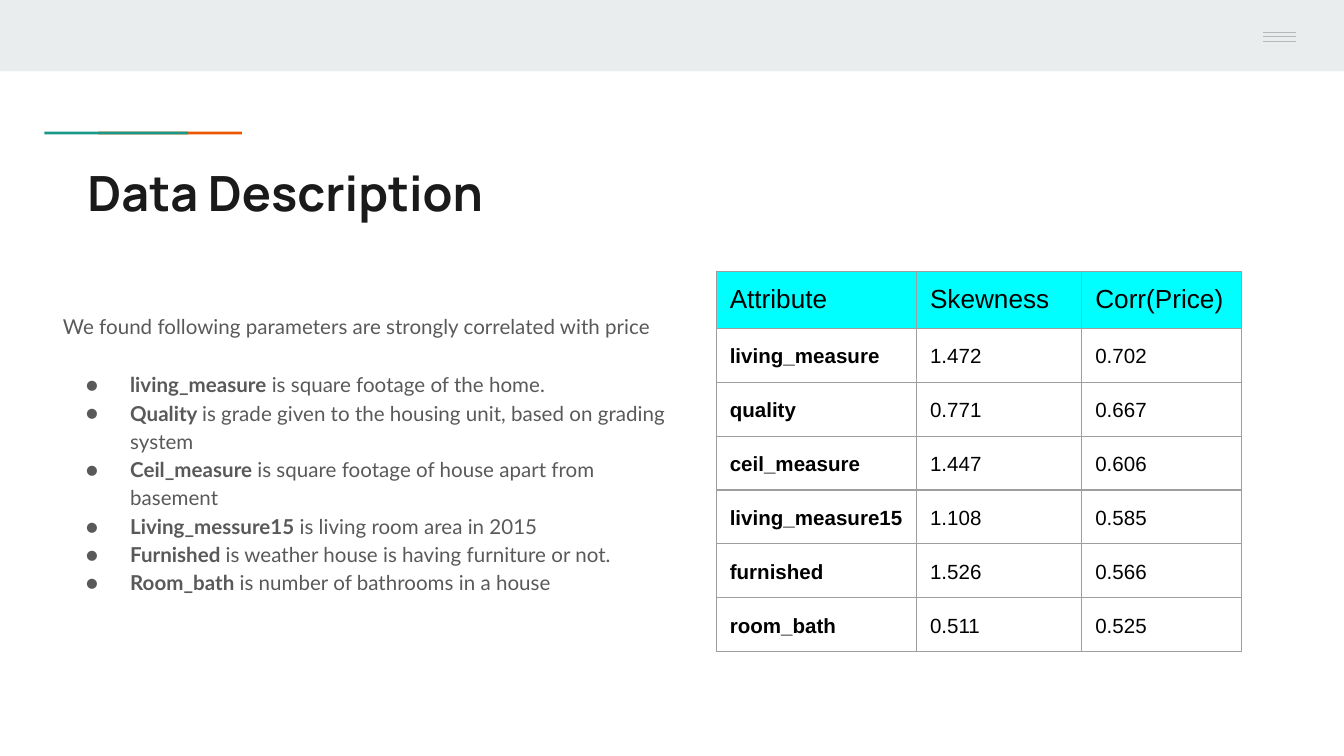
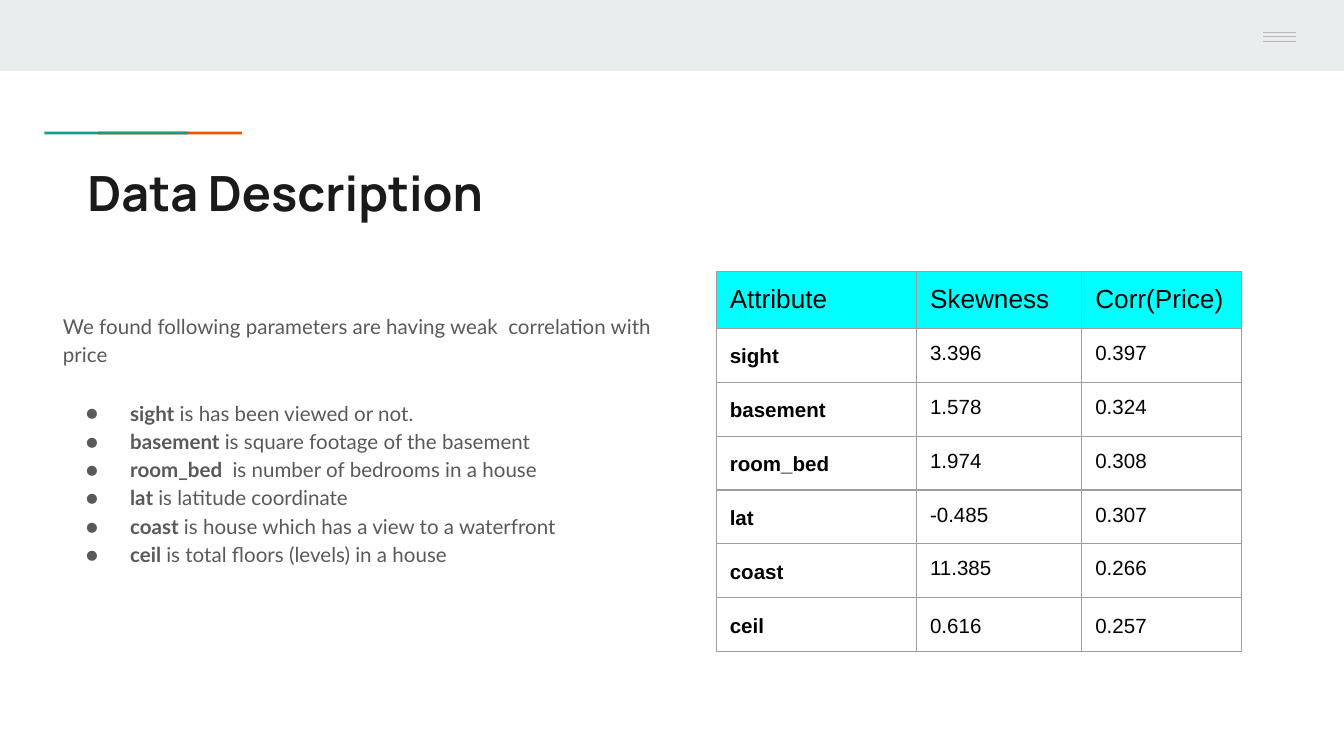
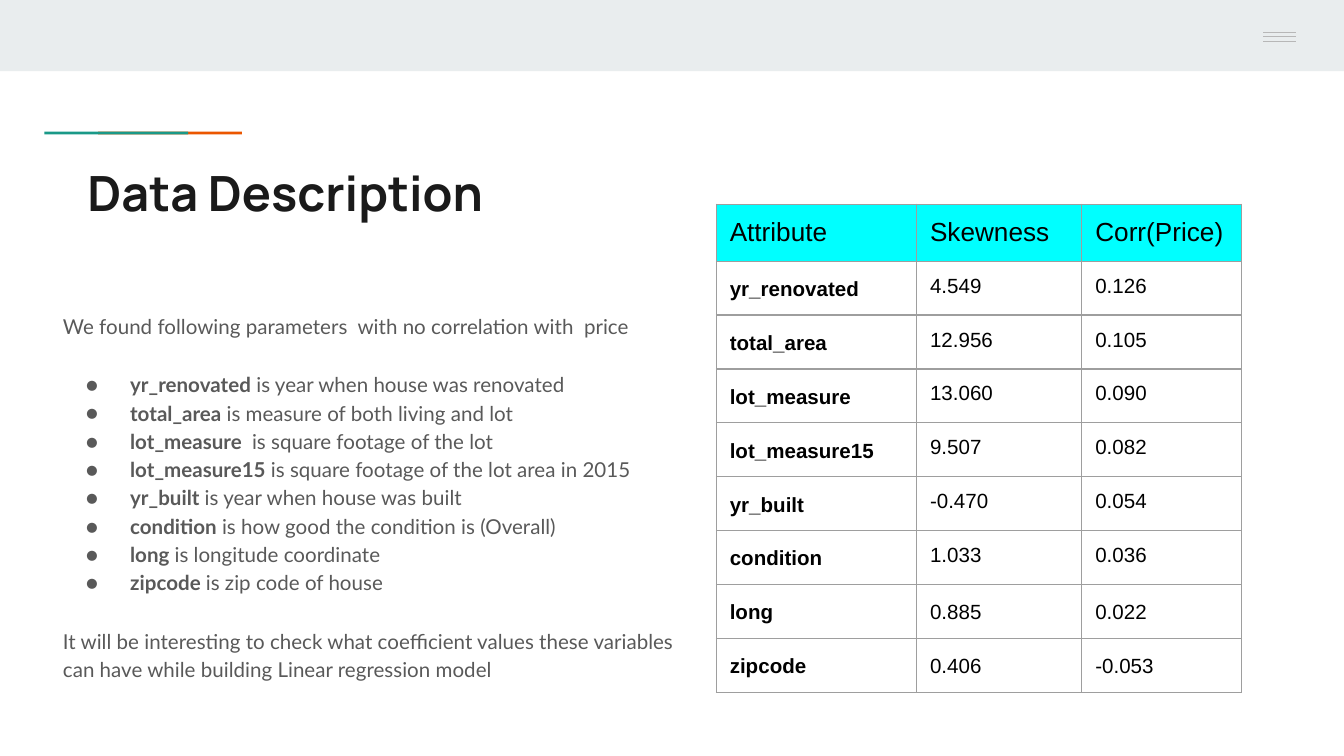
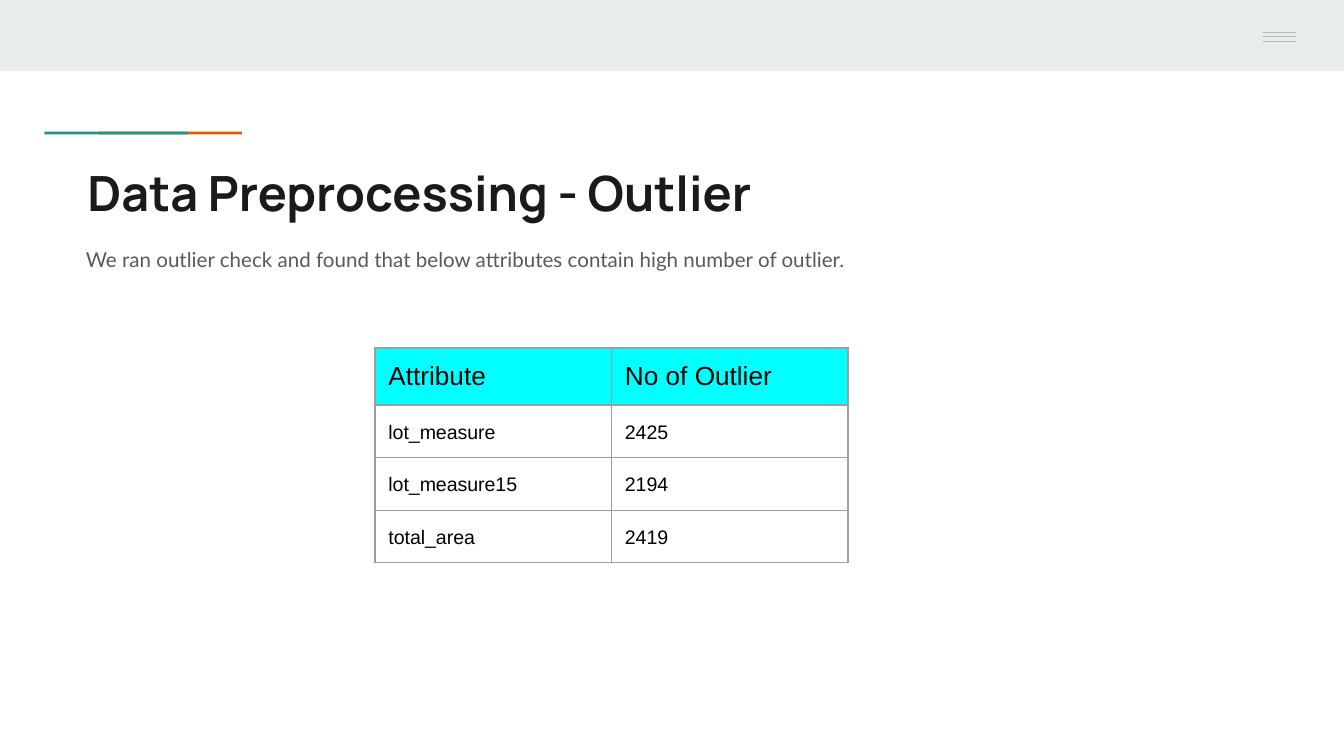
from dataclasses import dataclass
from typing import Optional

from lxml.etree import SubElement
from pptx import Presentation
from pptx.dml.color import RGBColor
from pptx.enum.shapes import MSO_CONNECTOR as Connector, MSO_SHAPE as Shape
from pptx.enum.text import MSO_ANCHOR as Anchor, PP_ALIGN as Align
from pptx.oxml.ns import qn
from pptx.util import Inches, Pt


# Colours, fonts and type sizes
@dataclass(frozen=True)
class Theme:
    band: str = "E9EDEE"
    teal: str = "1A9988"
    orange: str = "EB5600"
    menu: str = "B7B7B7"
    title: str = "1A1A1A"
    body: str = "595959"
    cell: str = "000000"
    header: str = "00FFFF"
    border: str = "9E9E9E"
    title_font: str = "Manrope"
    body_font: str = "Lato"
    table_font: str = "Arial"
    title_size: float = 26
    body_size: float = 11
    header_size: float = 14
    rule: float = 0.75
    spacing: float = 1.15
    gap: float = 16


THEME = Theme()
MARGIN, CELL_BOTTOM = Inches(0.1), Inches(0.09)
HEADER_HEIGHT, ROW_HEIGHT = Inches(0.38), Inches(0.36)


@dataclass(frozen=True)
class Bar:
    left: float
    top: float
    width: float
    height: float
    color: str


@dataclass(frozen=True)
class Term:
    name: str
    meaning: str


@dataclass(frozen=True)
class Grid:
    left: float
    top: float
    widths: tuple[float, ...]
    header: tuple[str, ...]
    rows: list[tuple[str, ...]]
    size: float = 11
    bold_names: bool = True
    first_spaced_row: int = 0  # values from this row on have wider line spacing


@dataclass(frozen=True)
class Prose:
    left: float
    top: float
    width: float
    height: float
    intro: str
    terms: tuple[Term, ...] = ()
    closing: Optional[str] = None


@dataclass(frozen=True)
class Content:
    title: str
    prose: Prose
    grid: Grid


BARS = [
    Bar(0, 0, 10, 0.53, THEME.band),
    Bar(0.73, 0.98, 1.07, 0.02, THEME.orange),
    Bar(0.33, 0.98, 1.07, 0.02, THEME.teal),
    Bar(9.06, 0, 0.94, 0.5, THEME.band),
]
MENU_LINES = (0.24, 0.27, 0.31)


def description(top: float, height: float, intro: str, terms: tuple[Term, ...],
                values: list[tuple[str, ...]], first_spaced_row: int = 0,
                closing: Optional[str] = None) -> Content:
    """One page that explains attributes beside their statistics."""
    return Content(
        "Data Description",
        Prose(0.37, 2.21, 4.79, height, intro, terms, closing),
        Grid(5.33, top, (1.49, 1.23, 1.19), ("Attribute", "Skewness", "Corr(Price)"),
             values, first_spaced_row=first_spaced_row))


PAGES = [
    description(
        2.02, 2.6, "We found following parameters are strongly correlated with price",
        (Term("living_measure", " is square footage of the home."),
         Term("Quality ", "is grade given to the housing unit, based on grading system"),
         Term("Ceil_measure ", "is square footage of house apart from basement"),
         Term("Living_messure15 ", "is living room area in 2015"),
         Term("Furnished ", "is weather house is having furniture or not."),
         Term("Room_bath ", "is number of bathrooms in a house")),
        [("living_measure", "1.472", "0.702"),
         ("quality", "0.771", "0.667"),
         ("ceil_measure", "1.447", "0.606"),
         ("living_measure15", "1.108", "0.585"),
         ("furnished", "1.526", "0.566"),
         ("room_bath", "0.511", "0.525")]),
    description(
        2.02, 2.6, "We found following parameters are having weak  correlation with price",
        (Term("sight", " is has been viewed or not."),
         Term("basement ", "is square footage of the basement"),
         Term("room_bed  ", "is number of bedrooms in a house"),
         Term("lat ", "is latitude coordinate"),
         Term("coast ", "is house which has a view to a waterfront"),
         Term("ceil ", "is total floors (levels) in a house")),
        [("sight", "3.396", "0.397"),
         ("basement", "1.578", "0.324"),
         ("room_bed", "1.974", "0.308"),
         ("lat", "-0.485", "0.307"),
         ("coast", "11.385", "0.266"),
         ("ceil", "0.616", "0.257")],
        first_spaced_row=5),
    description(
        1.52, 3.17, "We found following parameters  with no correlation with  price",
        (Term("yr_renovated", " is year when house was renovated"),
         Term("total_area ", "is measure of both living and lot"),
         Term("lot_measure  ", "is square footage of the lot"),
         Term("lot_measure15 ", "is square footage of the lot area in 2015"),
         Term("yr_built ", "is year when house was built"),
         Term("condition ", "is how good the condition is (Overall)"),
         Term("long ", "is longitude coordinate"),
         Term("zipcode ", "is zip code of house")),
        [("yr_renovated", "4.549", "0.126"),
         ("total_area", "12.956", "0.105"),
         ("lot_measure", "13.060", "0.090"),
         ("lot_measure15", "9.507", "0.082"),
         ("yr_built", "-0.470", "0.054"),
         ("condition", "1.033", "0.036"),
         ("long", "0.885", "0.022"),
         ("zipcode", "0.406", "-0.053")],
        first_spaced_row=6,
        closing="It will be interesting to check what coefficient values these "
                "variables can have while building Linear regression model"),
    Content(
        "Data Preprocessing - Outlier",
        Prose(0.54, 1.71, 9.07, 0.49, "We ran outlier check and found that below "
              "attributes contain high number of outlier."),
        Grid(2.79, 2.59, (1.76, 1.76), ("Attribute", "No of Outlier"),
             [("lot_measure", "2425"), ("lot_measure15", "2194"), ("total_area", "2419")],
             size=10.5, bold_names=False)),
]


# Text helpers
def set_font(font, name: str, size: float, color: str, bold: bool = False) -> None:
    font.name, font.size, font.bold = name, Pt(size), bold
    font.color.rgb = RGBColor.from_string(color)


def set_body_font(font, bold: bool = False) -> None:
    set_font(font, THEME.body_font, THEME.body_size, THEME.body, bold)


def set_margins(target, bottom: int = MARGIN) -> None:
    target.margin_left = target.margin_right = target.margin_top = MARGIN
    target.margin_bottom = bottom


def add_bullet(para) -> None:
    props = para._p.get_or_add_pPr()
    props.set("marL", str(Inches(0.5)))
    props.set("indent", str(Inches(-0.33)))
    color = SubElement(props, qn("a:buClr"))
    SubElement(color, qn("a:srgbClr"), val=THEME.body)
    SubElement(props, qn("a:buSzPts"), val=str(int(THEME.body_size * 100)))
    SubElement(props, qn("a:buFont"), typeface=THEME.body_font)
    SubElement(props, qn("a:buChar"), char="●")


# Band, accent and menu icon, kept on the layout
def add_decor(page, layout) -> None:
    parts = []
    for bar in BARS:
        shape = page.shapes.add_shape(Shape.RECTANGLE, Inches(bar.left), Inches(bar.top),
                                      Inches(bar.width), Inches(bar.height))
        shape.shadow.inherit = False
        shape.fill.solid()
        shape.fill.fore_color.rgb = RGBColor.from_string(bar.color)
        shape.line.fill.background()
        parts.append(shape)
    for top in MENU_LINES:
        line = page.shapes.add_connector(Connector.STRAIGHT, Inches(9.4), Inches(top),
                                         Inches(9.64), Inches(top))
        line.line.color.rgb = RGBColor.from_string(THEME.menu)
        line.line.width = Pt(THEME.rule)
        SubElement(line.element.spPr, qn("a:effectLst"))
        parts.append(line)
    tree = layout.shapes.element
    for index, part in enumerate(parts):
        part.element.xpath(".//p:cNvPr")[0].set("id", str(100 + index))
        tree.insert(2 + index, part.element)


def set_title(page, text: str) -> None:
    title = page.shapes.title
    title.left, title.top = Inches(0.55), Inches(1.11)
    title.width, title.height = Inches(7.4), Inches(0.74)
    frame = title.text_frame
    frame.text, frame.word_wrap = text, True
    frame.vertical_anchor = Anchor.TOP
    set_margins(frame)
    para = frame.paragraphs[0]
    para.alignment = Align.LEFT
    set_font(para.font, THEME.title_font, THEME.title_size, THEME.title, True)


def add_prose(page, prose: Prose) -> None:
    box = page.shapes.add_textbox(Inches(prose.left), Inches(prose.top),
                                  Inches(prose.width), Inches(prose.height))
    frame = box.text_frame
    frame.word_wrap = True
    set_margins(frame)
    frame.text = prose.intro
    set_body_font(frame.paragraphs[0].font)
    for index, term in enumerate(prose.terms):
        para = frame.add_paragraph()
        add_bullet(para)
        if index == 0:
            para.space_before = Pt(THEME.gap)
        for text, bold in ((term.name, True), (term.meaning, False)):
            span = para.add_run()
            span.text = text
            set_body_font(span.font, bold)
    if prose.closing:
        para = frame.add_paragraph()
        para.text, para.space_before = prose.closing, Pt(THEME.gap)
        set_body_font(para.font)
    for para in frame.paragraphs:
        para.line_spacing = THEME.spacing


# Tables
def add_borders(cell) -> None:
    props = cell._tc.get_or_add_tcPr()
    for index, side in enumerate(("lnL", "lnR", "lnT", "lnB")):
        line = props.makeelement(qn(f"a:{side}"), {"w": str(Pt(THEME.rule))})
        fill = SubElement(line, qn("a:solidFill"))
        SubElement(fill, qn("a:srgbClr"), val=THEME.border)
        props.insert(index, line)


def add_grid(page, grid: Grid) -> None:
    rows = [grid.header, *grid.rows]
    height = HEADER_HEIGHT + ROW_HEIGHT * len(grid.rows)
    table = page.shapes.add_table(len(rows), len(grid.widths), Inches(grid.left),
                                  Inches(grid.top), Inches(sum(grid.widths)), height).table
    table.first_row = table.horz_banding = False
    for column, width in zip(table.columns, grid.widths):
        column.width = Inches(width)
    for r, texts in enumerate(rows):
        is_header = r == 0
        table.rows[r].height = HEADER_HEIGHT if is_header else ROW_HEIGHT
        for c, text in enumerate(texts):
            cell = table.cell(r, c)
            cell.text = text
            set_margins(cell, CELL_BOTTOM)
            para = cell.text_frame.paragraphs[0]
            if is_header:
                cell.fill.solid()
                cell.fill.fore_color.rgb = RGBColor.from_string(THEME.header)
            else:
                cell.fill.background()
                if c == 0 or r > grid.first_spaced_row:
                    para.line_spacing = THEME.spacing
            set_font(para.font, THEME.table_font,
                     THEME.header_size if is_header else grid.size, THEME.cell,
                     grid.bold_names and c == 0 and not is_header)
            add_borders(cell)


def main() -> None:
    deck = Presentation()
    deck.slide_width = Inches(10)
    deck.slide_height = deck.slide_width * 9 // 16
    layout = deck.slide_layouts.get_by_name("Title Only")
    for index, content in enumerate(PAGES):
        page = deck.slides.add_slide(layout)
        if index == 0:
            add_decor(page, layout)
        set_title(page, content.title)
        add_prose(page, content.prose)
        add_grid(page, content.grid)
    deck.save("out.pptx")


if __name__ == "__main__":
    main()
